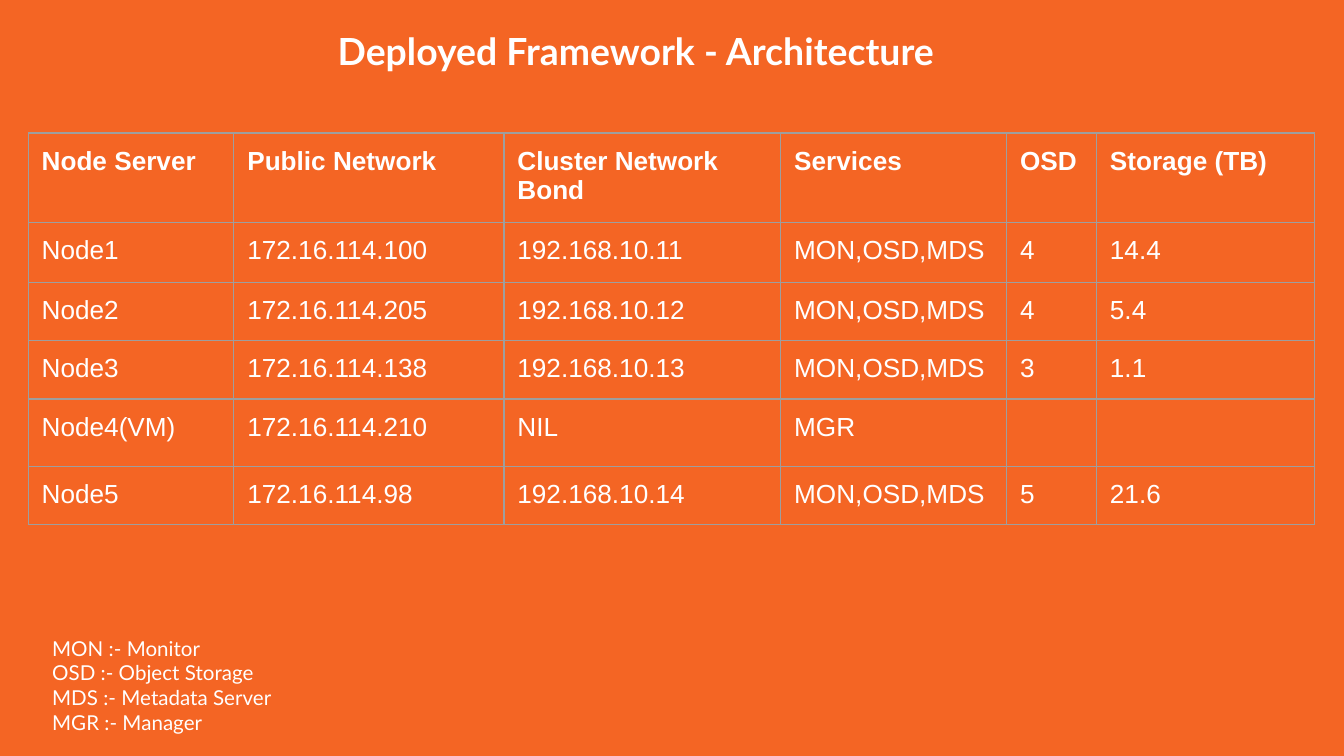
"""Build the slide that lists the storage servers of the deployed framework."""
import pptx
import pptx.dml.color
import pptx.enum.text
import pptx.oxml
import pptx.oxml.ns
import pptx.util

Pt = pptx.util.Pt

ORANGE, WHITE, GREY = "F46524", "FFFFFF", "9E9E9E"
INSET = 7.2
COLUMN_WIDTHS = [110.2, 144.7, 148.3, 121, 48.2, 116.6]
ROW_HEIGHTS = [46, 32, 30, 30, 34, 30]
SERVERS = [
    ["Node Server", "Public Network", "Cluster Network Bond", "Services", "OSD", "Storage (TB)"],
    ["Node1", "172.16.114.100", "192.168.10.11", "MON,OSD,MDS", "4", "14.4"],
    ["Node2", "172.16.114.205", "192.168.10.12", "MON,OSD,MDS", "4", "5.4"],
    ["Node3", "172.16.114.138", "192.168.10.13", "MON,OSD,MDS", "3", "1.1"],
    ["Node4(VM)", "172.16.114.210", "NIL", "MGR", "", ""],
    ["Node5", "172.16.114.98", "192.168.10.14", "MON,OSD,MDS", "5", "21.6"],
]
ABBREVIATIONS = [
    "MON :- Monitor",
    "OSD :- Object Storage",
    "MDS :- Metadata Server",
    "MGR :- Manager",
]


def rgb(value):
    """Return the colour for a hex string."""
    return pptx.dml.color.RGBColor.from_string(value)


def style_font(paragraph, name, size, bold=False):
    """Set the white font of a paragraph."""
    font = paragraph.font
    font.name, font.size, font.bold = name, Pt(size), bold
    font.color.rgb = rgb(WHITE)


def set_insets(target):
    """Give a text frame or cell the same margin on all sides."""
    target.margin_left = target.margin_right = Pt(INSET)
    target.margin_top = target.margin_bottom = Pt(INSET)


def add_text(slide, box, lines, size, bold=False, align=pptx.enum.text.PP_ALIGN.LEFT):
    """Add a wrapped text box with one paragraph per line."""
    frame = slide.shapes.add_textbox(*map(Pt, box)).text_frame
    frame.word_wrap = True
    set_insets(frame)
    frame.text = "\n".join(lines)
    for paragraph in frame.paragraphs:
        paragraph.alignment = align
        style_font(paragraph, "Lato", size, bold)


def add_borders(cell):
    """Draw a thin grey line on the four sides of a cell."""
    properties = cell._tc.get_or_add_tcPr()
    for side in "LRTB":
        properties.append(pptx.oxml.parse_xml(
            f'<a:ln{side} {pptx.oxml.ns.nsdecls("a")} w="{Pt(0.75)}">'
            f'<a:solidFill><a:srgbClr val="{GREY}"/></a:solidFill></a:ln{side}>'))


def fill_cell(cell, text, bold):
    """Write one cell of the server table."""
    set_insets(cell)
    add_borders(cell)
    cell.fill.background()
    if text:
        cell.text = text
        style_font(cell.text_frame.paragraphs[0], "Arial", 14, bold)


def add_server_table(slide, left, top):
    """Add the table of servers with a bold first row."""
    table = slide.shapes.add_table(
        len(ROW_HEIGHTS), len(COLUMN_WIDTHS), Pt(left), Pt(top),
        Pt(sum(COLUMN_WIDTHS)), Pt(sum(ROW_HEIGHTS))).table
    table.first_row = table.horz_banding = False
    for column, width in zip(table.columns, COLUMN_WIDTHS):
        column.width = Pt(width)
    for index, (row, height) in enumerate(zip(table.rows, ROW_HEIGHTS)):
        row.height = Pt(height)
        for cell, text in zip(row.cells, SERVERS[index]):
            fill_cell(cell, text, bold=index == 0)


def main():
    """Build and save the slide."""
    deck = pptx.Presentation()
    deck.slide_width, deck.slide_height = Pt(720), Pt(405)
    slide = deck.slides.add_slide(deck.slide_layouts[6])
    slide.background.fill.solid()
    slide.background.fill.fore_color.rgb = rgb(ORANGE)
    add_text(slide, (63.4, 7.9, 559.4, 95.8), ["Deployed Framework - Architecture "],
             20, bold=True, align=pptx.enum.text.PP_ALIGN.CENTER)
    add_server_table(slide, 15.1, 71.3)
    add_text(slide, (20.9, 333.4, 285.8, 67.7), ABBREVIATIONS, 11)
    deck.save("out.pptx")


if __name__ == "__main__":
    main()
